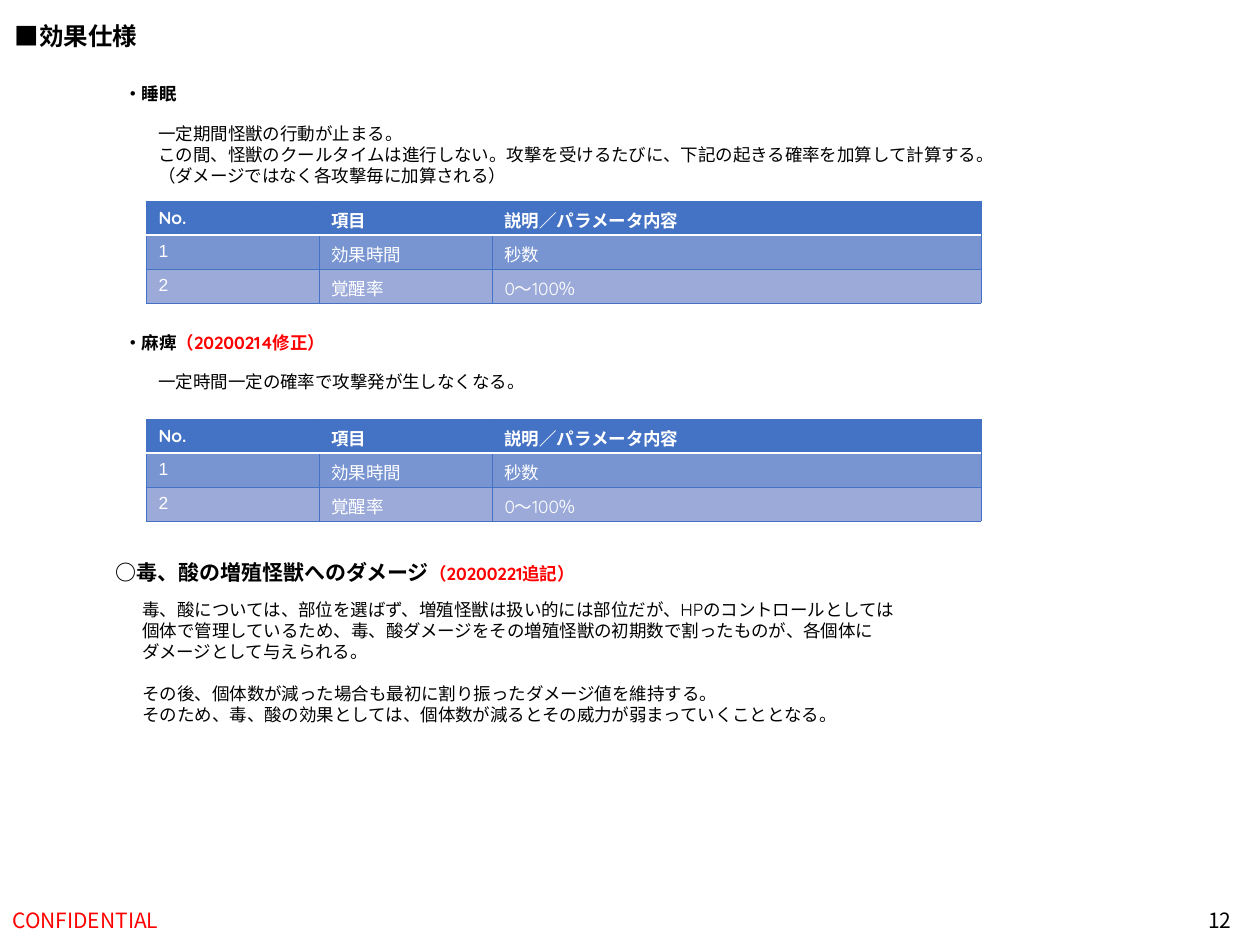
"""Build the effect specification slide."""
from dataclasses import dataclass

from lxml.etree import SubElement
from pptx import Presentation
from pptx.dml.color import RGBColor
from pptx.enum.text import MSO_ANCHOR, MSO_AUTO_SIZE, PP_ALIGN
from pptx.oxml import parse_xml
from pptx.oxml.ns import nsdecls, qn
from pptx.util import Emu, Pt

PX = 914400 // 126


@dataclass(frozen=True)
class Theme:
    """Colours, fonts and type sizes of the slide."""
    ink: str = "000000"
    alert: str = "FF0000"
    paper: str = "FFFFFF"
    accent: str = "4472C4"
    odd_row: str = "7894D1"
    even_row: str = "9BAAD9"
    body_font: str = "Quicksand"
    plain_font: str = "Arial"
    japanese_font: str = "Noto Sans CJK JP"
    title_size: int = 14
    heading_size: int = 12
    body_size: int = 10


THEME = Theme()
COLUMNS = (173, 173, 489)
ROW_HEIGHT = 34
ROWS = (
    ("No.", "項目", "説明／パラメータ内容"),
    ("1", "効果時間", "秒数"),
    ("2", "覚醒率", "0～100％"),
)


def px(*lengths):
    """Turn pixel lengths into EMU."""
    return [Emu(length * PX) for length in lengths]


def add_run(paragraph, words, size=THEME.body_size, color=THEME.ink,
            font=THEME.body_font, bold=False):
    """Append one formatted run to a paragraph."""
    run = paragraph.add_run()
    run.text = words
    run.font.size = Pt(size)
    run.font.bold = bold
    run.font.name = font
    run.font.color.rgb = RGBColor.from_string(color)
    SubElement(run.font._element, qn("a:ea")).set("typeface", THEME.japanese_font)


def fit_frame(frame):
    """Let a text frame grow with its unwrapped lines."""
    frame.word_wrap = False
    frame.auto_size = MSO_AUTO_SIZE.SHAPE_TO_FIT_TEXT
    frame.vertical_anchor = MSO_ANCHOR.TOP


def add_title(slide, words):
    """Place and format the slide title."""
    title = slide.shapes.title
    title.left, title.top, title.width, title.height = px(2, 15, 160, 43)
    fit_frame(title.text_frame)
    paragraph = title.text_frame.paragraphs[0]
    paragraph.alignment = PP_ALIGN.LEFT
    add_run(paragraph, words, THEME.title_size, font=THEME.plain_font, bold=True)


def add_heading(slide, box, words, note="", size=THEME.body_size):
    """Add a bold section heading with an optional revision note."""
    frame = slide.shapes.add_textbox(*px(*box)).text_frame
    fit_frame(frame)
    add_run(frame.paragraphs[0], words, size, bold=True)
    if note:
        add_run(frame.paragraphs[0], note, color=THEME.alert, bold=True)


def add_description(slide, box, *blocks):
    """Add blocks of lines, set apart by one line of space."""
    frame = slide.shapes.add_textbox(*px(*box)).text_frame
    fit_frame(frame)
    paragraph = frame.paragraphs[0]
    for block_index, block in enumerate(blocks):
        for line_index, line in enumerate(block):
            if block_index or line_index:
                paragraph = frame.add_paragraph()
            if block_index and not line_index:
                paragraph.space_before = Pt(12)
            add_run(paragraph, line)


def add_footer(slide, box, words, color, alignment):
    """Add a footer text centred vertically in its box."""
    frame = slide.shapes.add_textbox(*px(*box)).text_frame
    frame.word_wrap = True
    frame.vertical_anchor = MSO_ANCHOR.MIDDLE
    frame.paragraphs[0].alignment = alignment
    add_run(frame.paragraphs[0], words, THEME.heading_size, color,
            THEME.japanese_font)


def set_borders(cell, row):
    """Draw the cell borders, with a white rule below the header."""
    rule, thin = (THEME.paper, 1), (THEME.accent, 0.5)
    borders = {"lnL": thin, "lnR": thin,
               "lnT": rule if row == 1 else thin,
               "lnB": rule if row == 0 else thin}
    properties = cell._tc.get_or_add_tcPr()
    for position, (side, (color, width)) in enumerate(borders.items()):
        properties.insert(position, parse_xml(
            f'<a:{side} {nsdecls("a")} w="{Pt(width)}"><a:solidFill>'
            f'<a:srgbClr val="{color}"/></a:solidFill></a:{side}>'))


def add_parameters(slide, top):
    """Add the parameter table at the given height."""
    frame = slide.shapes.add_table(
        len(ROWS), len(COLUMNS),
        *px(146, top, sum(COLUMNS), ROW_HEIGHT * len(ROWS)))
    table = frame.table
    table.horz_banding = False
    for column, width in zip(table.columns, px(*COLUMNS)):
        column.width = width
    fills = (THEME.accent, THEME.odd_row, THEME.even_row)
    for row, (entries, fill) in enumerate(zip(ROWS, fills)):
        for column, words in enumerate(entries):
            cell = table.cell(row, column)
            cell.fill.solid()
            cell.fill.fore_color.rgb = RGBColor.from_string(fill)
            set_borders(cell, row)
            plain = row > 0 and column < 2
            add_run(cell.text_frame.paragraphs[0], words, color=THEME.paper,
                    font=THEME.plain_font if plain else THEME.body_font,
                    bold=row == 0)


def main():
    """Build and save the slide."""
    deck = Presentation()
    deck.slide_width, deck.slide_height = px(1260, 945)
    slide = deck.slides.add_slide(deck.slide_layouts[5])
    add_title(slide, "■効果仕様")
    add_footer(slide, (0, 895, 426, 50), "CONFIDENTIAL", THEME.alert, PP_ALIGN.LEFT)
    add_footer(slide, (960, 895, 284, 50), "12", THEME.ink, PP_ALIGN.RIGHT)

    add_heading(slide, (112, 77, 90, 34), "・睡眠")
    add_description(slide, (146, 117, 873, 77), (
        "一定期間怪獣の行動が止まる。",
        "この間、怪獣のクールタイムは進行しない。攻撃を受けるたびに、下記の起きる確率を加算して計算する。",
        "（ダメージではなく各攻撃毎に加算される）"))
    add_parameters(slide, 201)

    add_heading(slide, (112, 326, 250, 34), "・麻痺", "（20200214修正）")
    add_description(slide, (146, 365, 397, 34),
                    ("一定時間一定の確率で攻撃発が生しなくなる。",))
    add_parameters(slide, 419)

    add_heading(slide, (103, 553, 494, 38), "○毒、酸の増殖怪獣へのダメージ",
                "（20200221追記）", THEME.heading_size)
    add_description(slide, (130, 593, 790, 140), (
        "毒、酸については、部位を選ばず、増殖怪獣は扱い的には部位だが、HPのコントロールとしては",
        "個体で管理しているため、毒、酸ダメージをその増殖怪獣の初期数で割ったものが、各個体に",
        "ダメージとして与えられる。"), (
        "その後、個体数が減った場合も最初に割り振ったダメージ値を維持する。",
        "そのため、毒、酸の効果としては、個体数が減るとその威力が弱まっていくこととなる。"))
    deck.save("out.pptx")


if __name__ == "__main__":
    main()
